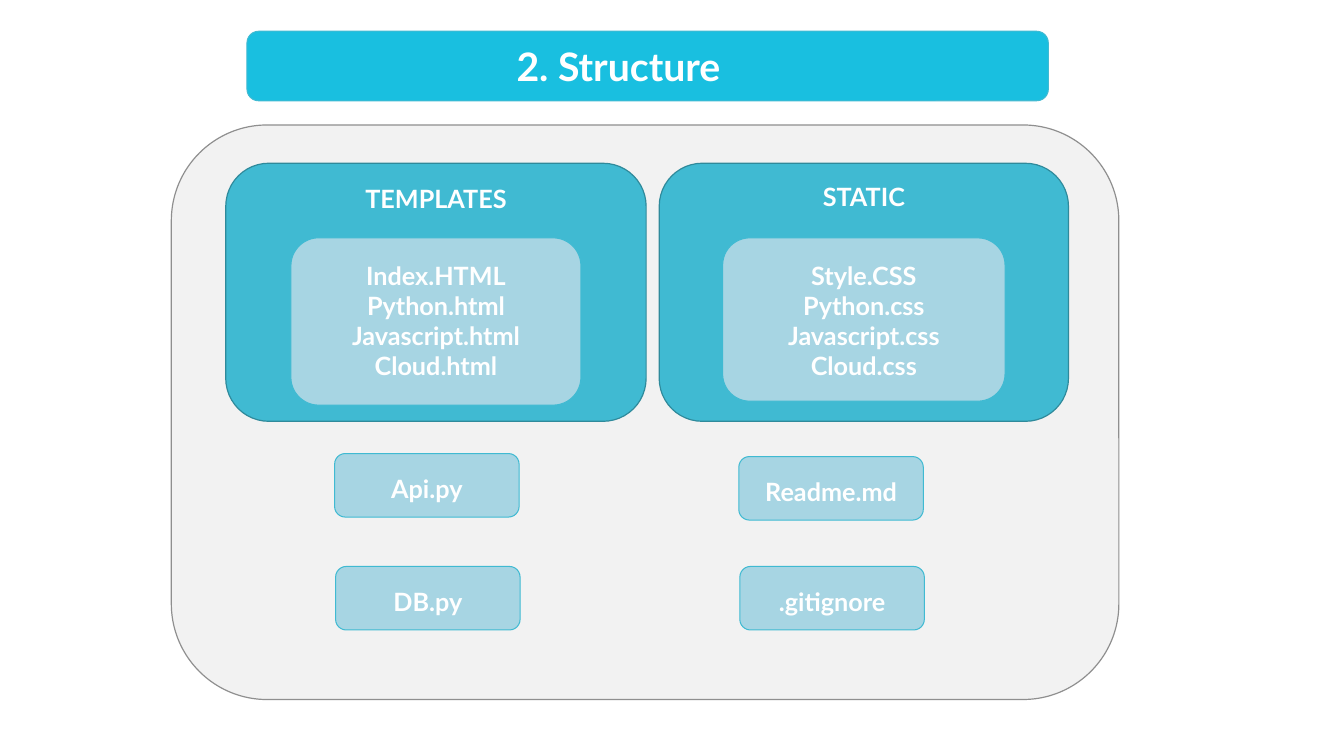
import dataclasses
import pptx
import pptx.util
from pptx.dml.color import RGBColor
from pptx.enum.shapes import MSO_SHAPE
from pptx.enum.text import MSO_ANCHOR, PP_ALIGN

CELL = 0.1  # inches per grid column and row
COLUMNS, ROWS = 133.33, 75


@dataclasses.dataclass(frozen=True)
class Theme:
    font: str = "Lato"
    text: str = "FFFFFF"
    banner: str = "19BFE0"
    panel: str = "F2F2F2"
    panel_edge: str = "8F8F8F"
    folder: str = "40BAD2"
    folder_edge: str = "2F8A9B"
    file: str = "A7D5E3"
    title_size: int = 28
    body_size: int = 18
    thin: float = 0.75
    thick: float = 0.85


@dataclasses.dataclass(frozen=True)
class Box:
    """A rectangle measured in grid columns and rows."""
    left: float
    top: float
    width: float
    height: float

    def inner(self, left, top, width, height):
        return Box(self.left + left, self.top + top, width, height)

    def centred(self, top, width, height):
        return self.inner((self.width - width) / 2, top, width, height)

    def lengths(self):
        return [pptx.util.Inches(cells * CELL) for cells in dataclasses.astuple(self)]


THEME = Theme()


def add_card(slide, box, fill, edge, weight):
    card = slide.shapes.add_shape(MSO_SHAPE.ROUNDED_RECTANGLE, *box.lengths())
    card.shadow.inherit = False
    card.fill.solid()
    card.fill.fore_color.rgb = RGBColor.from_string(fill)
    card.line.color.rgb = RGBColor.from_string(edge)
    card.line.width = pptx.util.Pt(weight)
    return card


def write_lines(frame, lines, size):
    frame.word_wrap = True
    frame.vertical_anchor = MSO_ANCHOR.TOP
    frame.margin_left = frame.margin_right = pptx.util.Inches(0.1)
    frame.margin_top = frame.margin_bottom = pptx.util.Inches(0.05)
    for index, line in enumerate(lines):
        paragraph = frame.add_paragraph() if index else frame.paragraphs[0]
        paragraph.text = line
        paragraph.alignment = PP_ALIGN.CENTER
        paragraph.line_spacing = 1.0
        paragraph.space_before = pptx.util.Pt(0)
        paragraph.font.name = THEME.font
        paragraph.font.size = pptx.util.Pt(size)
        paragraph.font.bold = True
        paragraph.font.color.rgb = RGBColor.from_string(THEME.text)


def add_label(slide, box, lines):
    label = slide.shapes.add_textbox(*box.lengths())
    write_lines(label.text_frame, lines, THEME.body_size)


def add_banner(slide, box, heading):
    banner = add_card(slide, box, THEME.banner, THEME.folder, THEME.thin)
    title = slide.shapes.title
    title.left, title.top, title.width, title.height = box.inner(-5.1, 0.6, 83.9, 5.7).lengths()
    write_lines(title.text_frame, [heading], THEME.title_size)
    title._element.addprevious(banner._element)  # bar goes behind the title


def add_folder(slide, box, heading, heading_top, files, list_height):
    add_card(slide, box, THEME.folder, THEME.folder_edge, THEME.thick)
    label_width = box.width * 0.65
    add_label(slide, box.centred(heading_top, label_width, 4), [heading])
    file_list = box.centred(7.4, box.width * 0.69, list_height)
    add_card(slide, file_list, THEME.file, THEME.folder, THEME.thin)
    add_label(slide, box.centred(9.1, label_width, 13.1), files)


def add_file(slide, box, name):
    add_card(slide, box, THEME.file, THEME.folder, THEME.thin)
    add_label(slide, box.centred(1.5, 17.1, 4), [name])


def add_project(slide, box):
    add_card(slide, box, THEME.panel, THEME.panel_edge, THEME.thick)

    # Folders with their files
    add_folder(slide, box.inner(48.4, 3.8, 40.6, 25.6), "STATIC", 1.3,
               ["Style.CSS", "Python.css", "Javascript.css", "Cloud.css"], 16.2)
    add_folder(slide, box.inner(5.4, 3.8, 41.7, 25.6), "TEMPLATES", 1.5,
               ["Index.HTML", "Python.html", "Javascript.html", "Cloud.html"], 16.6)

    # Files beside the folders
    for name, left, top in [("Api.py", 16.2, 32.6), ("DB.py", 16.3, 43.8),
                            ("Readme.md", 56.3, 32.9), (".gitignore", 56.4, 43.8)]:
        add_file(slide, box.inner(left, top, 18.3, 6.3), name)


def main():
    deck = pptx.Presentation()
    deck.slide_width = pptx.util.Inches(COLUMNS * CELL)
    deck.slide_height = pptx.util.Inches(ROWS * CELL)
    slide = deck.slides.add_slide(deck.slide_layouts[5])
    page = Box(0, 0, COLUMNS, ROWS)
    add_banner(slide, page.inner(24.5, 3.1, 79.5, 6.9), "2. Structure")
    add_project(slide, page.inner(17, 12.4, 94, 57))
    deck.save("out.pptx")


main()
